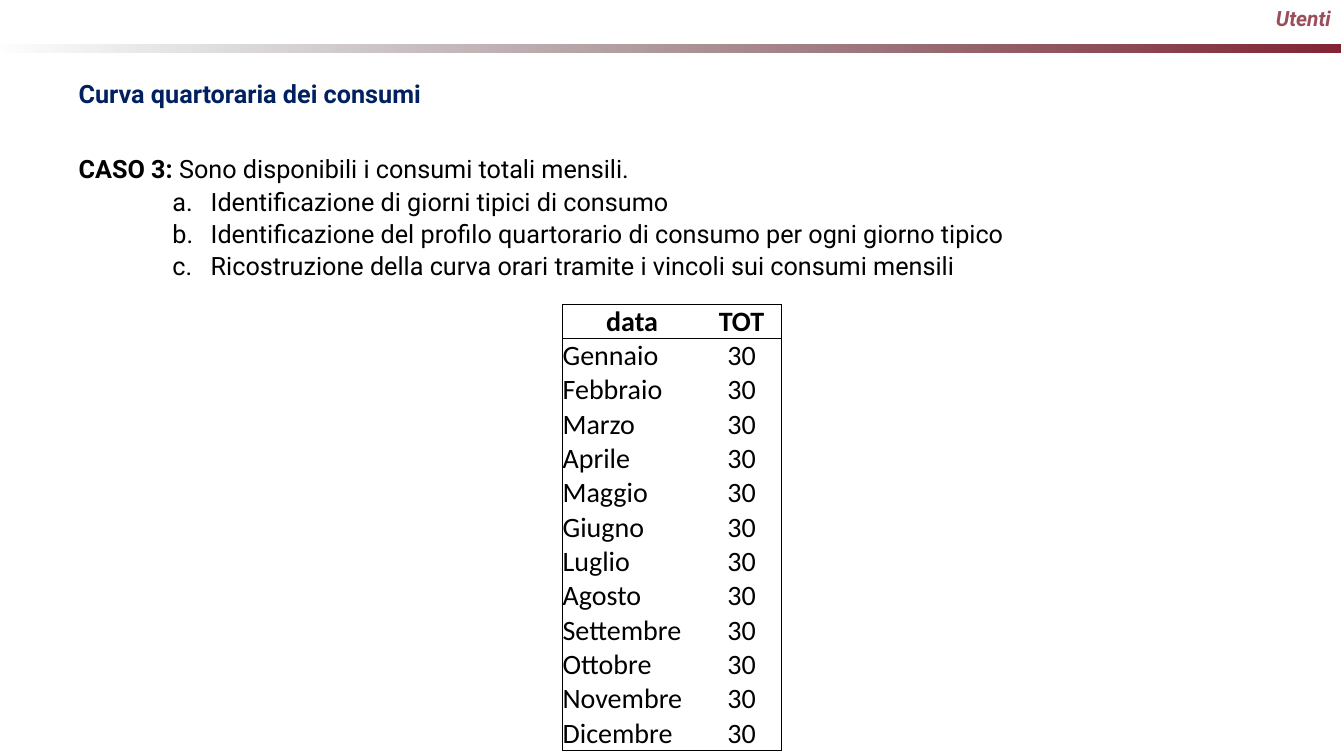
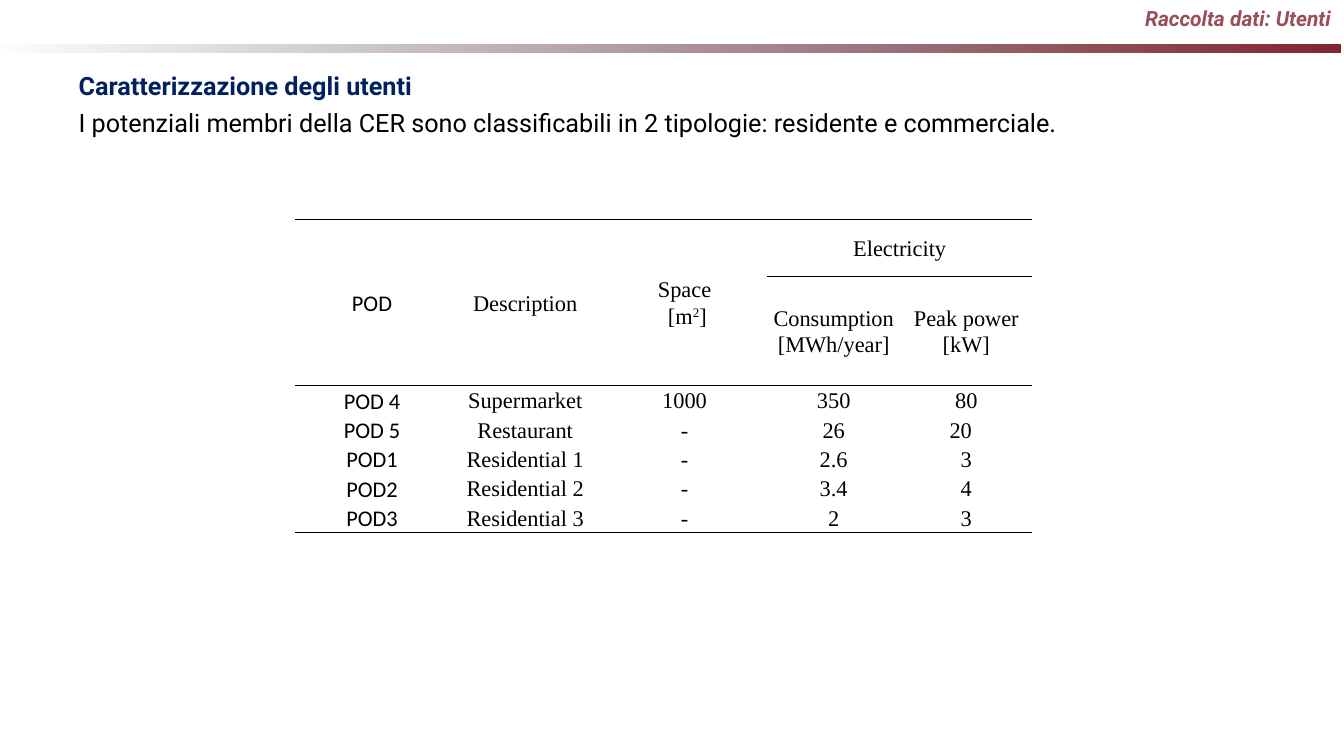
from dataclasses import dataclass, field
from typing import Any

from lxml.etree import SubElement
from pptx import Presentation
from pptx.dml.color import RGBColor
from pptx.enum.shapes import MSO_SHAPE
from pptx.enum.text import MSO_ANCHOR, MSO_AUTO_SIZE, PP_ALIGN
from pptx.oxml import parse_xml
from pptx.oxml.ns import nsdecls, qn
from pptx.util import Inches, Pt

COLORS = {
    "band": "822433",
    "band_end": "383838",
    "header": "9A4E5A",
    "heading": "002060",
    "text": "000000",
}
PLAIN_TABLE_STYLE = "{2D5ABB26-0587-4C30-8999-92F81FD0307C}"

# Shared text styles
STYLES: dict[str, dict[str, Any]] = {
    "header": {"name": "Roboto", "size": Pt(15), "bold": True, "italic": True},
    "heading": {"name": "Roboto", "size": Pt(18), "bold": True},
    "strong": {"name": "Roboto", "size": Pt(18), "bold": True},
    "text": {"name": "Roboto", "size": Pt(18), "bold": False},
    "month_head": {"name": "Calibri", "size": Pt(20), "bold": True},
    "month": {"name": "Calibri", "size": Pt(20), "bold": False},
    "pod": {"name": "Calibri", "size": Pt(16), "bold": False},
    "user": {"name": "Times New Roman", "size": Pt(16), "bold": False},
}


@dataclass
class Run:
    text: str
    style: str = "text"
    superscript: bool = False


@dataclass
class Line:
    runs: list[Run]
    before: float = 7.5
    lettered: bool = False


@dataclass
class Cell:
    runs: list[Run]
    align: Any = PP_ALIGN.CENTER
    extra_right: float = 0


@dataclass
class Rule:
    width: float
    columns: range


@dataclass
class Grid:
    left: float
    top: float
    widths: list[float]
    heights: list[float]
    rows: list[list[Cell]]
    rules: dict[int, Rule]  # keyed by the row the rule lies above
    anchor: Any = MSO_ANCHOR.MIDDLE
    framed: bool = False
    margin: float = 0
    paragraph: dict[str, Any] = field(default_factory=dict)
    merges: list[tuple[int, int, int, int]] = field(default_factory=list)


def add_runs(paragraph: Any, runs: list[Run]) -> None:
    for run in runs:
        for index, piece in enumerate(run.text.split("\n")):
            if index:
                paragraph.add_line_break()
            written = paragraph.add_run()
            written.text = piece
            for name, value in STYLES[run.style].items():
                setattr(written.font, name, value)
            color = COLORS.get(run.style, COLORS["text"])
            written.font.color.rgb = RGBColor.from_string(color)
            if run.superscript:
                written.font._element.set("baseline", "30000")


def place(holder: Any, left: float, top: float, width: float, height: float) -> Any:
    box = {"left": left, "top": top, "width": width, "height": height}
    for name, value in box.items():
        setattr(holder, name, Inches(value))
    frame = holder.text_frame
    settings = {"word_wrap": True, "auto_size": MSO_AUTO_SIZE.NONE,
                "vertical_anchor": MSO_ANCHOR.TOP}
    for name, value in settings.items():
        setattr(frame, name, value)
    return frame


def add_band(slide: Any) -> None:
    band = slide.shapes.add_shape(MSO_SHAPE.RECTANGLE, Inches(-0.11), Inches(0.44),
                                  Inches(13.41), Inches(0.08))
    band.shadow.inherit = False
    band.line.fill.background()
    band.fill.gradient()
    band.fill.gradient_angle = 180
    for stop, name, position in zip(band.fill.gradient_stops, ("band", "band_end"), (0, 1)):
        stop.color.rgb = RGBColor.from_string(COLORS[name])
        stop.position = position
    # The far end fades out completely
    faded = list(band._element.spPr.iter(qn("a:srgbClr")))[-1]
    SubElement(faded, qn("a:alpha")).set("val", "0")


def add_body(frame: Any, lines: list[Line]) -> None:
    for index, line in enumerate(lines):
        paragraph = frame.add_paragraph() if index else frame.paragraphs[0]
        paragraph.line_spacing = 0.9
        paragraph.space_before = Pt(line.before)
        add_runs(paragraph, line.runs)
        properties = paragraph._p.get_or_add_pPr()
        margin, indent = (1.31, -0.38) if line.lettered else (0, 0)
        properties.set("marL", str(Inches(margin)))
        properties.set("indent", str(Inches(indent)))
        if line.lettered:
            SubElement(properties, qn("a:buFont")).set("typeface", "+mj-lt")
            SubElement(properties, qn("a:buAutoNum")).set("type", "alphaLcPeriod")
        else:
            SubElement(properties, qn("a:buNone"))


def add_slide(deck: Any, header: str, body_box: tuple[float, float, float, float],
              lines: list[Line], grid: Grid) -> None:
    slide = deck.slides.add_slide(deck.slide_layouts[1])
    add_band(slide)
    title = place(slide.shapes.title, 2.57, 0.03, 10.73, 0.41).paragraphs[0]
    title.alignment = PP_ALIGN.RIGHT
    title.line_spacing = 0.9
    title.space_before = Pt(7.5)
    add_runs(title, [Run(header, "header")])
    add_body(place(slide.placeholders[1], *body_box), lines)
    add_grid(slide, grid)


def draw_borders(cell: Any, borders: dict[str, float]) -> None:
    properties = cell._tc.get_or_add_tcPr()
    solid = f'<a:solidFill><a:srgbClr val="{COLORS["text"]}"/></a:solidFill>'
    for index, (side, width) in enumerate(borders.items()):
        fill = solid if width else "<a:noFill/>"
        properties.insert(index, parse_xml(
            f'<a:ln{side} {nsdecls("a")} w="{Pt(width)}">{fill}</a:ln{side}>'))


def cell_borders(grid: Grid, row: int, column: int, row_span: int) -> dict[str, float]:
    borders: dict[str, float] = {
        "L": 1 if grid.framed and column == 0 else 0,
        "R": 1 if grid.framed and column == len(grid.widths) - 1 else 0,
    }
    for side, boundary in (("T", row), ("B", row + row_span)):
        rule = grid.rules.get(boundary)
        borders[side] = rule.width if rule and column in rule.columns else 0
    return borders


def add_grid(slide: Any, grid: Grid) -> None:
    table = slide.shapes.add_table(
        len(grid.heights), len(grid.widths), Inches(grid.left), Inches(grid.top),
        Inches(sum(grid.widths)), Inches(sum(grid.heights))).table
    table.first_row = table.horz_banding = False
    table._tbl.tblPr.find(qn("a:tableStyleId")).text = PLAIN_TABLE_STYLE
    for column, width in zip(table.columns, grid.widths):
        column.width = Inches(width)
    for row, height in zip(table.rows, grid.heights):
        row.height = Inches(height)
    for top, left, bottom, right in grid.merges:
        table.cell(top, left).merge(table.cell(bottom, right))
    for r, row in enumerate(grid.rows):
        for c, content in enumerate(row):
            cell = table.cell(r, c)
            settings = {
                "vertical_anchor": grid.anchor,
                "margin_left": Inches(grid.margin),
                "margin_right": Inches(grid.margin + content.extra_right),
                "margin_top": 0,
                "margin_bottom": 0,
            }
            for name, value in settings.items():
                setattr(cell, name, value)
            cell.fill.background()
            row_span = cell.span_height if cell.is_merge_origin else 1
            draw_borders(cell, cell_borders(grid, r, c, row_span))
            paragraph = cell.text_frame.paragraphs[0]
            paragraph.alignment = content.align
            for name, value in grid.paragraph.items():
                setattr(paragraph, name, value)
            add_runs(paragraph, content.runs)


# Monthly consumption table
MONTHS = ["Gennaio", "Febbraio", "Marzo", "Aprile", "Maggio", "Giugno", "Luglio",
          "Agosto", "Settembre", "Ottobre", "Novembre", "Dicembre"]
month_rows = [[Cell([Run(name, "month_head")]) for name in ("data", "TOT")]]
month_rows += [[Cell([Run(month, "month")], PP_ALIGN.LEFT), Cell([Run("30", "month")])]
               for month in MONTHS]
both = range(2)
monthly = Grid(
    5.58, 3.02, [1.38, 0.79], [0.34] * len(month_rows), month_rows,
    rules={0: Rule(1, both), 1: Rule(0.5, both), len(month_rows): Rule(1, both)},
    anchor=MSO_ANCHOR.BOTTOM, framed=True)


# Users table, closed by a narrow empty column
def user_row(pod: str = "", *values: str) -> list[Cell]:
    padded = values + ("",) * (5 - len(values))
    return [Cell([Run(pod, "pod")])] + [Cell([Run(value, "user")]) for value in padded]


user_rows = [
    user_row("POD", "Description", "Space\n [m", "Electricity"),
    user_row("", "", "", "Consumption [MWh/year]", "Peak power [kW]"),
    user_row(),
    user_row("POD 4", "Supermarket", "1000", "350", "80"),
    user_row("POD 5", "Restaurant", "-", "26", "20"),
    user_row("POD1", "Residential 1", "-", "2.6", "3"),
    user_row("POD2", "Residential 2", "-", "3.4", "4"),
    user_row("POD3", "Residential 3", "-", "2", "3"),
]
user_rows[0][2].runs += [Run("2", "user", superscript=True), Run("]", "user")]
user_rows[4][4].extra_right = 0.11
ruled = range(5)
users = Grid(
    2.93, 2.18, [1.52, 1.52, 1.64, 1.32, 1.31, 0.17], [0.56, 0.56, 0.28] + [0.29] * 5,
    user_rows,
    rules={0: Rule(1, ruled), 1: Rule(1, range(3, 5)), 3: Rule(1, ruled), 8: Rule(1, ruled)},
    margin=0.05, paragraph={"line_spacing": 1.07, "space_after": Pt(8)},
    merges=[(0, column, 2, column) for column in range(3)]
    + [(0, 3, 0, 4), (1, 3, 2, 3), (1, 4, 2, 4)])

deck = Presentation()
deck.slide_width, deck.slide_height = Inches(13.33), Inches(7.5)

# Slide 1: monthly totals
CASE_STEPS = [
    "Identificazione di giorni tipici di consumo",
    "Identificazione del profilo quartorario di consumo per ogni giorno tipico",
    "Ricostruzione della curva orari tramite i vincoli sui consumi mensili",
]
case_lines = [
    Line([Run("Curva quartoraria dei consumi", "heading")]),
    Line([Run("CASO 3: ", "strong"), Run("Sono disponibili i consumi totali mensili.")],
         before=34.5),
]
case_lines += [Line([Run(step)], before=3.6, lettered=True) for step in CASE_STEPS]
add_slide(deck, "Utenti", (0.68, 0.76, 12.36, 4.49), case_lines, monthly)

# Slide 2: user types
type_lines = [
    Line([Run("Caratterizzazione degli utenti", "heading")]),
    Line([Run("I potenziali membri della CER sono classificabili in 2 tipologie: "
              "residente e commerciale.")], before=7.2),
]
add_slide(deck, "Raccolta dati: Utenti", (0.68, 0.68, 11.73, 0.76), type_lines, users)

deck.save("out.pptx")
